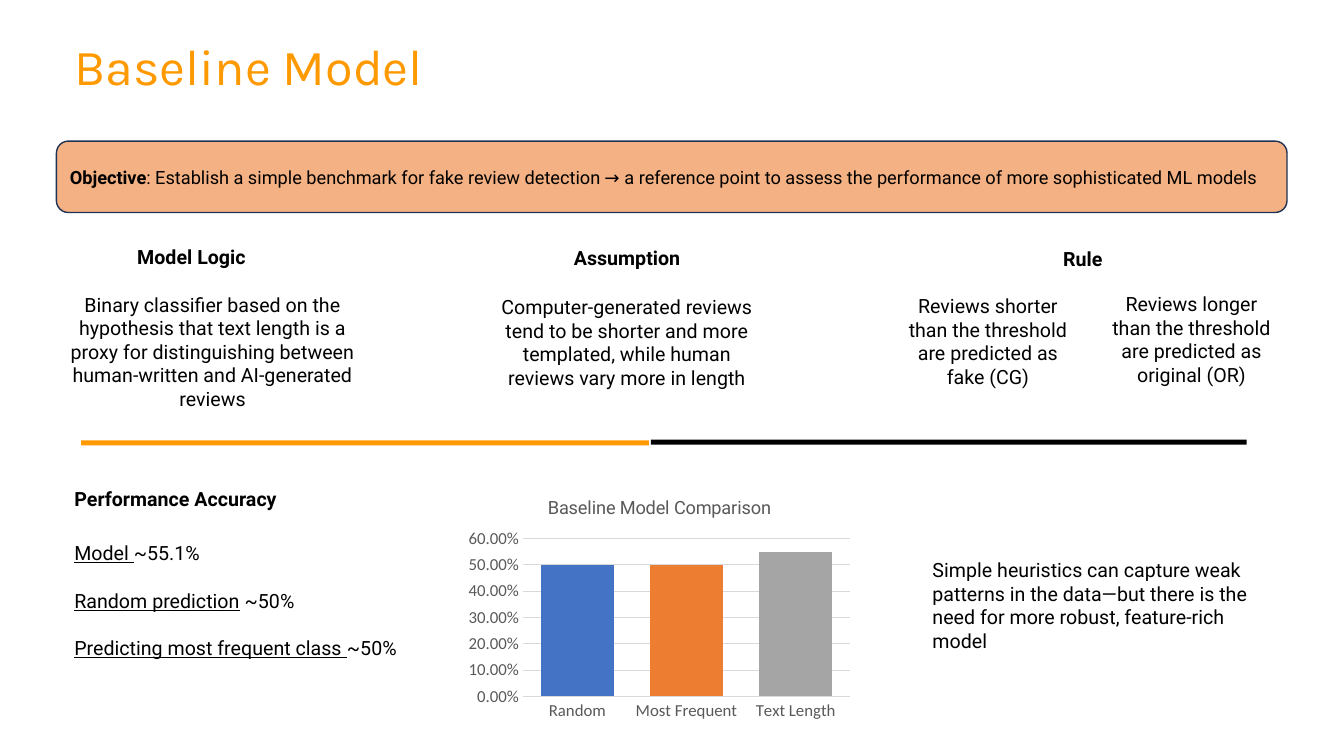
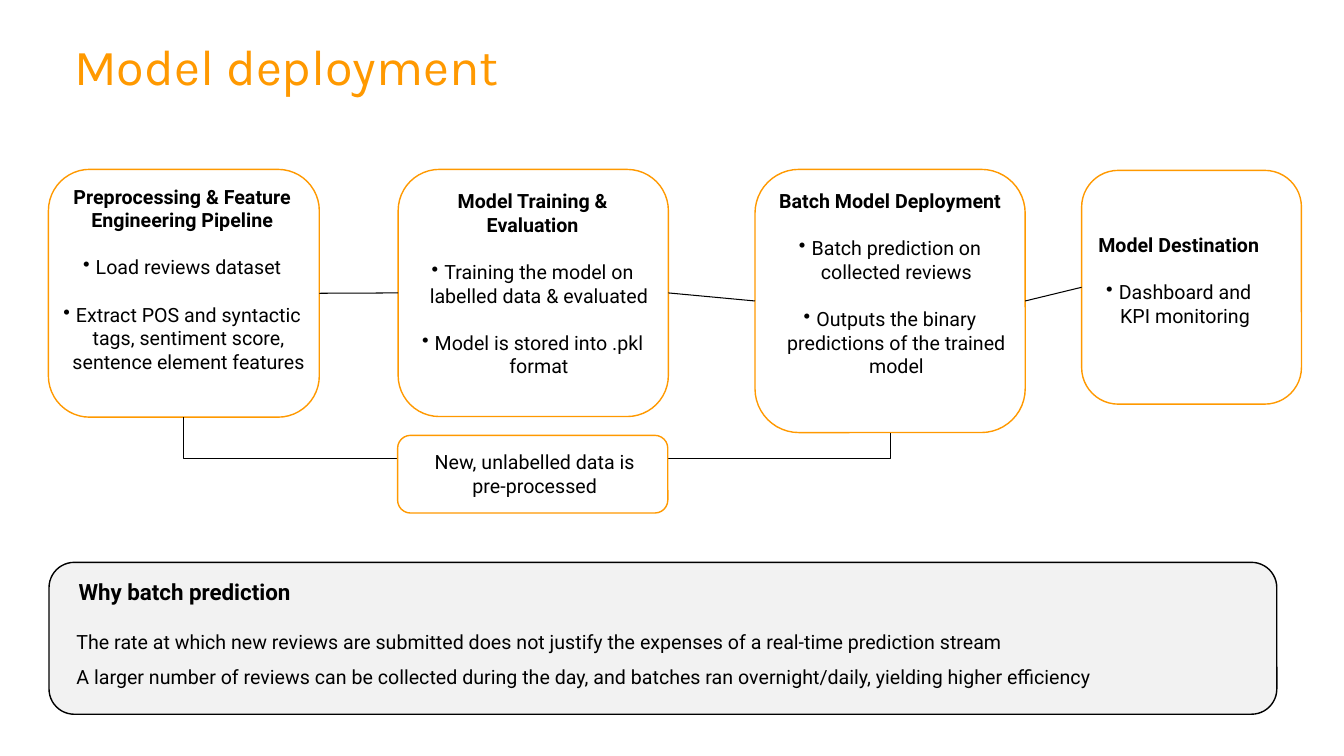
from lxml import etree
from pptx import Presentation
from pptx.chart.data import CategoryChartData
from pptx.dml.color import RGBColor
from pptx.enum import chart as ch, shapes as sh, text as tx
from pptx.oxml.ns import qn
from pptx.util import Pt

ORANGE = RGBColor(0xFF, 0x99, 0x00)
PEACH = RGBColor(0xF4, 0xB1, 0x83)
NAVY = RGBColor(0x1E, 0x32, 0x56)
BLACK = RGBColor(0, 0, 0)
WHITE = RGBColor(0xFF, 0xFF, 0xFF)
PALE = RGBColor(0xF2, 0xF2, 0xF2)
GRID = RGBColor(0xD9, 0xD9, 0xD9)
GREY = RGBColor(0x59, 0x59, 0x59)
BARS = (RGBColor(0x44, 0x72, 0xC4), RGBColor(0xED, 0x7D, 0x31),
        RGBColor(0xA5, 0xA5, 0xA5))
BODY, HEAD, AXIS = "Roboto", "Karla", "Calibri"
LEFT, MID = tx.PP_ALIGN.LEFT, tx.PP_ALIGN.CENTER
GAP = 17
HANG = 9


def style(font, size, color=BLACK, name=BODY, bold=False):
    font.name, font.size, font.bold = name, Pt(size), bold
    font.color.rgb = color


def say(frame, paras, size=14, align=LEFT, gap=GAP, lead=None, color=BLACK, name=BODY):
    frame.word_wrap = True
    for i, runs in enumerate(paras):
        para = frame.paragraphs[0] if i == 0 else frame.add_paragraph()
        para.alignment = align
        if i:
            para.space_before = Pt(gap)
        if lead:
            para.line_spacing = lead
        for words, mark in runs:
            run = para.add_run()
            run.text = words
            style(run.font, size, color, name, mark == "b")
            if mark == "u":
                run.font.underline = True


def write(slide, x, y, w, h, paras, **look):
    box = slide.shapes.add_textbox(Pt(x), Pt(y), Pt(w), Pt(h))
    say(box.text_frame, paras, **look)
    return box


def title(slide, words):
    box = write(slide, 46, 21.6, 400, 51, [[(words, "")]], size=36,
                color=ORANGE, name=HEAD)
    box.text_frame.word_wrap = False


def panel(slide, x, y, w, h, fill, edge=None):
    kind = sh.MSO_SHAPE.ROUNDED_RECTANGLE if edge is not None else sh.MSO_SHAPE.RECTANGLE
    box = slide.shapes.add_shape(kind, Pt(x), Pt(y), Pt(w), Pt(h))
    box.shadow.inherit = False
    box.fill.solid()
    box.fill.fore_color.rgb = fill
    if edge is None:
        box.line.fill.background()
    else:
        box.line.color.rgb = edge
        box.line.width = Pt(1)
    return box


def bullet(para):
    props = para._p.get_or_add_pPr()
    props.set("marL", str(Pt(HANG)))
    props.set("indent", str(-Pt(HANG)))
    etree.SubElement(props, qn("a:buChar")).set("char", "•")


def card(slide, x, y, w, h, text, head, items):
    box = panel(slide, x, y, w, h, WHITE, ORANGE)
    left, top, wide = text
    paras = [[(head, "b")]] + [[(item, "")] for item in items]
    note = write(slide, left, top, wide, 143, paras, align=MID)
    for para in note.text_frame.paragraphs[1:]:
        bullet(para)
    return box


def wire(slide, kind, x, y, end, low):
    line = slide.shapes.add_connector(kind, Pt(x), Pt(y), Pt(end), Pt(low))
    line.line.color.rgb = BLACK
    line.line.width = Pt(0.75)
    etree.SubElement(line._element.spPr, qn("a:effectLst"))
    return line


def link(slide, start, stop):
    line = wire(slide, sh.MSO_CONNECTOR.STRAIGHT, 0, 0, 1, 1)
    line.begin_connect(start, 3)
    line.end_connect(stop, 1)


def loop(slide, x, y, end, low, depth):
    wide, tall = low - y, end - x
    left, top = (x + end - wide) / 2, (y + low - tall) / 2
    line = wire(slide, sh.MSO_CONNECTOR.ELBOW, left, top, left + wide, top + tall)
    props = line._element.spPr
    frame = props.find(qn("a:xfrm"))
    frame.set("rot", str(270 * 60000))
    frame.set("flipH", "1")
    geom = props.find(qn("a:prstGeom"))
    guides = geom.find(qn("a:avLst"))
    if guides is None:
        guides = etree.SubElement(geom, qn("a:avLst"))
    guide = etree.SubElement(guides, qn("a:gd"))
    guide.set("name", "adj1")
    guide.set("fmla", f"val {round((depth - y) / wide * 100000)}")


def graph(slide, x, y, w, h):
    name = "Baseline Model Comparison"
    data = CategoryChartData(number_format="0.00%")
    data.categories = ["Random", "Most Frequent", "Text Length"]
    data.add_series(name, (0.5, 0.5, 0.55))
    chart = slide.shapes.add_chart(ch.XL_CHART_TYPE.COLUMN_CLUSTERED,
                                   Pt(x), Pt(y), Pt(w), Pt(h), data).chart
    style(chart.font, 12, GREY, AXIS)
    chart.has_legend = False
    chart.has_title = True
    run = chart.chart_title.text_frame.paragraphs[0].add_run()
    run.text = name
    style(run.font, 13, GREY)
    chart.chart_title.include_in_layout = False
    plot = chart.plots[0]
    plot.gap_width, plot.overlap, plot.vary_by_categories = 50, -27, False
    for i, color in enumerate(BARS):
        fill = plot.series[0].points[i].format.fill
        fill.solid()
        fill.fore_color.rgb = color
    cats, vals = chart.category_axis, chart.value_axis
    for axis in (cats, vals):
        axis.major_tick_mark = axis.minor_tick_mark = ch.XL_TICK_MARK.NONE
        style(axis.tick_labels.font, 12, GREY, AXIS)
    vals.minimum_scale, vals.maximum_scale, vals.major_unit = 0, 0.6, 0.1
    vals.tick_labels.number_format = "0.00%"
    vals.tick_labels.number_format_is_linked = False
    vals.format.line.fill.background()
    for line in (cats.format.line, vals.major_gridlines.format.line):
        line.color.rgb = GRID
        line.width = Pt(0.75)


def model(slide):
    title(slide, "Baseline Model")
    goal = panel(slide, 40.3, 100.8, 879, 51, PEACH, NAVY)
    goal.text_frame.vertical_anchor = tx.MSO_ANCHOR.MIDDLE
    say(goal.text_frame, [[
        ("Objective", "b"),
        (": Establish a simple benchmark for fake review detection → a reference "
         "point to assess the performance of more sophisticated ML models", "")]], size=13)
    heads = ((40.3, 171.4, 193, "Model Logic"), (351.4, 172, 193, "Assumption"),
             (712, 172.8, 123, "Rule"))
    for x, y, w, words in heads:
        write(slide, x, y, w, 24, [[(words, "b")]], align=MID)
    notes = (
        (40.3, 205.4, 223, "Binary classifier based on the hypothesis that text length is a "
         "proxy for distinguishing between human-written and AI-generated reviews"),
        (347.8, 207.2, 200, "Computer-generated reviews tend to be shorter and more templated, "
         "while human reviews vary more in length"),
        (637.2, 206.5, 137, "Reviews shorter than the threshold are predicted as fake (CG)"),
        (782.6, 205, 137, "Reviews longer than the threshold are predicted as original (OR)"))
    for x, y, w, words in notes:
        write(slide, x, y, w, 75, [[(words, "")]], align=MID)
    panel(slide, 58, 314.6, 405.5, 3.6, ORANGE)
    panel(slide, 465, 314, 425.5, 3.6, BLACK)
    write(slide, 46, 344, 193, 24, [[("Performance Accuracy", "b")]])
    write(slide, 46, 383, 255, 92, [
        [("Model ", "u"), ("~55.1%", "")],
        [("Random prediction", "u"), (" ~50%", "")],
        [("Predicting most frequent class ", "u"), ("~50%", "")]])
    graph(slide, 329, 344, 284, 174)
    write(slide, 659, 395.3, 255, 75, [[
        ("Simple heuristics can capture weak patterns in the data—but there is the "
         "need for more robust, feature-rich model", "")]])


def deploy(slide):
    title(slide, "Model deployment")
    cards = (
        (34.6, 121, 193.5, 177, (33, 128.2, 194.4), "Preprocessing & Feature Engineering Pipeline",
         ("Load reviews dataset",
          "Extract POS and syntactic tags, sentiment score, sentence element features")),
        (284.4, 121, 193, 176.5, (290.5, 131.5, 180), "Model Training & Evaluation",
         ("Training the model on labelled data & evaluated",
          "Model is stored into .pkl format")),
        (539.3, 121, 193, 188, (545.8, 131.3, 180), "Batch Model Deployment",
         ("Batch prediction on collected reviews",
          "Outputs the binary predictions of the trained model")),
        (772.6, 121.7, 157, 167, (771.8, 162.7, 140.4), "Model Destination",
         ("Dashboard and KPI monitoring",)))
    steps = [card(slide, *spec) for spec in cards]
    for start, stop in zip(steps, steps[1:]):
        link(slide, start, stop)
    loop(slide, 131.3, 298, 635.8, 309, 327.6)
    panel(slide, 284, 311, 193, 55.5, WHITE, ORANGE)
    write(slide, 296, 318.2, 172, 41, [[("New, unlabelled data is pre-processed", "")]],
          align=MID)
    panel(slide, 35, 401.7, 877, 108.5, PALE, BLACK)
    write(slide, 49, 409.7, 214, 27, [[("Why batch prediction", "b")]], size=16)
    write(slide, 47.5, 437.8, 829, 55, [
        [("The rate at which new reviews are submitted does not justify the expenses "
          "of a real-time prediction stream", "")],
        [("A larger number of reviews can be collected during the day, and batches ran "
          "overnight/daily, yielding higher efficiency", "")]], gap=0, lead=1.5)


def main():
    deck = Presentation()
    deck.slide_width, deck.slide_height = Pt(960), Pt(540)
    for draw in (model, deploy):
        draw(deck.slides.add_slide(deck.slide_layouts[6]))
    deck.save("out.pptx")


if __name__ == "__main__":
    main()
